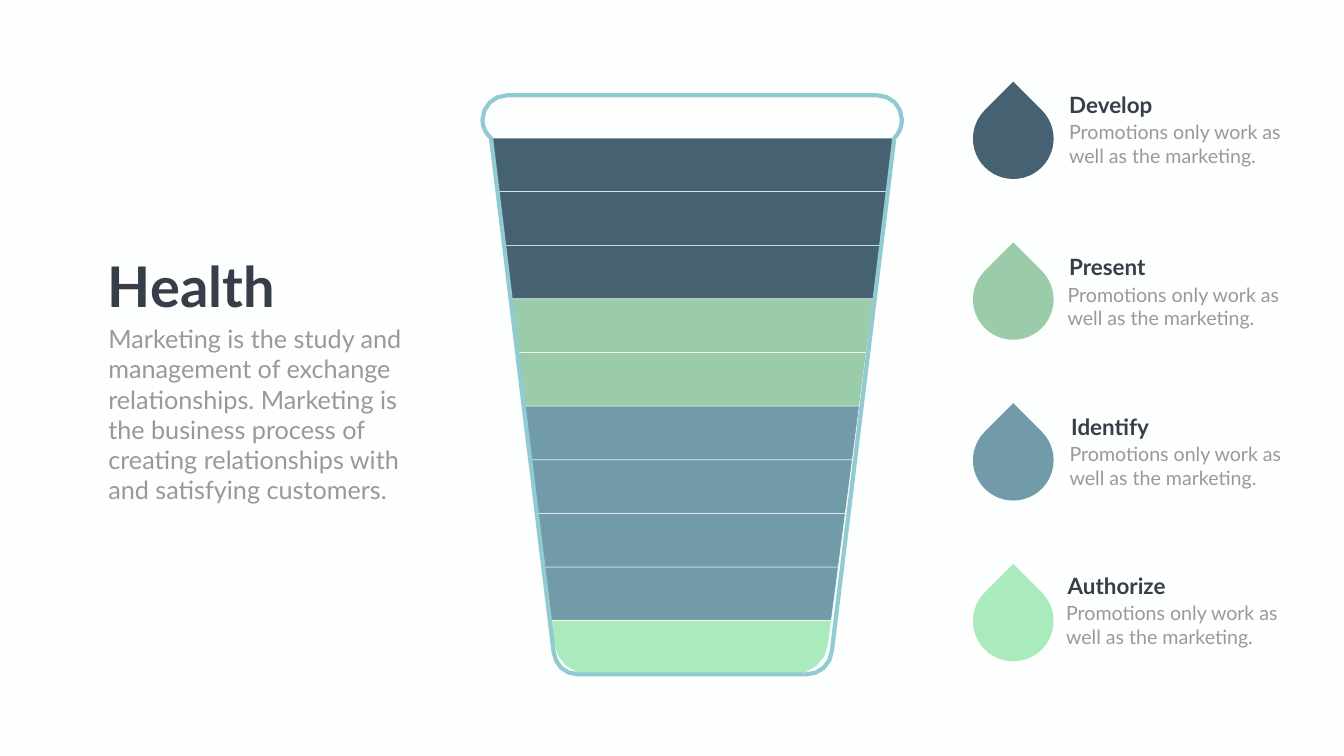
from dataclasses import dataclass
from math import sqrt

from pptx import Presentation
from pptx.dml.color import RGBColor as Rgb
from pptx.enum.shapes import MSO_SHAPE as Kind
from pptx.util import Inches, Pt


@dataclass(frozen=True)
class Theme:
    font: str = "Lato"
    back: str = "FDFFFE"
    ink: str = "353E49"
    gray: str = "989998"
    glass: str = "91CAD1"
    navy: str = "466171"
    sage: str = "9ACCAA"
    steel: str = "729BAA"
    mint: str = "A9EBBC"
    title: int = 80
    lead: int = 36
    head: int = 32
    body: int = 28


T = Theme()
WIDE, HIGH = 26.66, 15

# Drops stand on four equal rows
DROP_X, DROP_Y, ROW, ROUND = 20.1, 1.62, 3.19, 0.8

# The liquid is ten equal bands between two slanted sides
TOP, BASE, COUNT = 2.74, 13.38, 10
BAND = (BASE - TOP) / COUNT
BANDS = [T.navy] * 3 + [T.sage] * 2 + [T.steel] * 4 + [T.mint]

NOTE = "Promotions only work as well as the marketing."
LEAD = ("Marketing is the study and management of exchange relationships. "
        "Marketing is the business process of creating relationships with "
        "and satisfying customers.")

# Heading, colour, heading left and top, note left
STEPS = [
    ("Develop", T.navy, 21.11, 1.75, 21.11),
    ("Present", T.sage, 21.11, 4.98, 21.08),
    ("Identify", T.steel, 21.15, 8.14, 21.12),
    ("Authorize", T.mint, 21.08, 11.3, 21.05),
]


def curve(a, b, c, d, steps=4):
    """Points along a cubic curve, without its start."""
    for i in range(1, steps + 1):
        t = i / steps
        u = 1 - t
        yield tuple(u**3 * p + 3 * u * u * t * q + 3 * u * t * t * r + t**3 * s
                    for p, q, r, s in zip(a, b, c, d))


def trace(start, *parts):
    """Join line ends (one point) and curves (three points) into points."""
    pts = [start]
    for part in parts:
        if len(part) == 3:
            pts.extend(curve(pts[-1], *part))
        else:
            pts.extend(part)
    return pts


def paint(shape, fill=None, line=None, width=0.75):
    shape.shadow.inherit = False
    if fill:
        shape.fill.solid()
        shape.fill.fore_color.rgb = Rgb.from_string(fill)
    else:
        shape.fill.background()
    if line:
        shape.line.color.rgb = Rgb.from_string(line)
        shape.line.width = Pt(width)
    else:
        shape.line.fill.background()


def outline(slide, pts, **look):
    pts = [(Inches(x), Inches(y)) for x, y in pts]
    pen = slide.shapes.build_freeform(*pts[0])
    pen.add_line_segments(pts[1:], close=True)
    paint(pen.convert_to_shape(), **look)


def write(slide, text, x, y, w, h, size, color=T.gray, bold=False):
    box = slide.shapes.add_textbox(Inches(x), Inches(y), Inches(w), Inches(h))
    frame = box.text_frame
    frame.word_wrap = True
    run = frame.paragraphs[0].add_run()
    run.text = text
    font = run.font
    font.name, font.size, font.bold = T.font, Pt(size), bold
    font.color.rgb = Rgb.from_string(color)


def drop(slide, tip, color):
    """A teardrop turned so that its corner points up."""
    top = tip + ROUND * (sqrt(2) - 1)
    size = Inches(2 * ROUND)
    shape = slide.shapes.add_shape(
        Kind.TEAR, Inches(DROP_X - ROUND), Inches(top), size, size)
    shape.rotation = 315
    paint(shape, fill=color)


def sides(row):
    """Left and right edge of the liquid at the top of a band."""
    share = row / (COUNT - 1)
    return 9.74 + 1.2 * share, 17.74 - 1.25 * share


def liquid(slide):
    for row, color in enumerate(BANDS):
        y = TOP + row * BAND
        end = y + BAND
        left, right = sides(row)
        if row < COUNT - 1:
            low, far = sides(row + 1)
            pts = [(left, y), (right, y), (far, end), (low, end)]
        else:  # rounded base
            pts = trace(
                (right, y), [(left, y)], [(10.99, 12.8)],
                [(11.05, 13.13), (11.33, end), (11.66, end)], [(15.76, end)],
                [(16.09, end), (16.39, 13.13), (16.43, 12.8)])
        outline(slide, pts, fill=color, line=T.back)


def glass(slide):
    rim, lip = 1.89, 2.38
    outline(slide, trace(
        (17.4, rim), [(10.06, rim)],
        [(9.79, rim), (9.57, 2.11), (9.57, lip)],
        [(9.57, 2.52), (9.64, 2.65), (9.74, TOP)],
        [(10.98, 12.92)],
        [(11, 13.18), (11.2, BASE), (11.46, BASE)],
        [(16, BASE)],
        [(16.26, BASE), (16.48, 13.18), (16.5, 12.92)],
        [(17.74, TOP)],
        [(17.83, 2.65), (17.89, 2.52), (17.89, lip)],
        [(17.89, 2.11), (17.68, rim), (17.4, rim)],
    ), line=T.glass, width=6)


def main():
    deck = Presentation()
    deck.slide_width, deck.slide_height = Inches(WIDE), Inches(HIGH)
    slide = deck.slides.add_slide(deck.slide_layouts[6])
    back = slide.background.fill
    back.solid()
    back.fore_color.rgb = Rgb.from_string(T.back)

    # Legend
    for row, (name, color, x, y, left) in enumerate(STEPS):
        drop(slide, DROP_Y + row * ROW, color)
        write(slide, name, x, y, 2.61, 0.64, T.head, T.ink, bold=True)
        write(slide, NOTE, left, y + 0.58, 4.63, 1.04, T.body)

    # Drinking glass
    liquid(slide)
    glass(slide)

    # Title and lead text
    write(slide, "Health", 2.04, 4.94, 3.59, 1.45, T.title, T.ink, bold=True)
    write(slide, LEAD, 2.05, 6.37, 6.54, 3.74, T.lead)

    deck.save("out.pptx")


if __name__ == "__main__":
    main()
